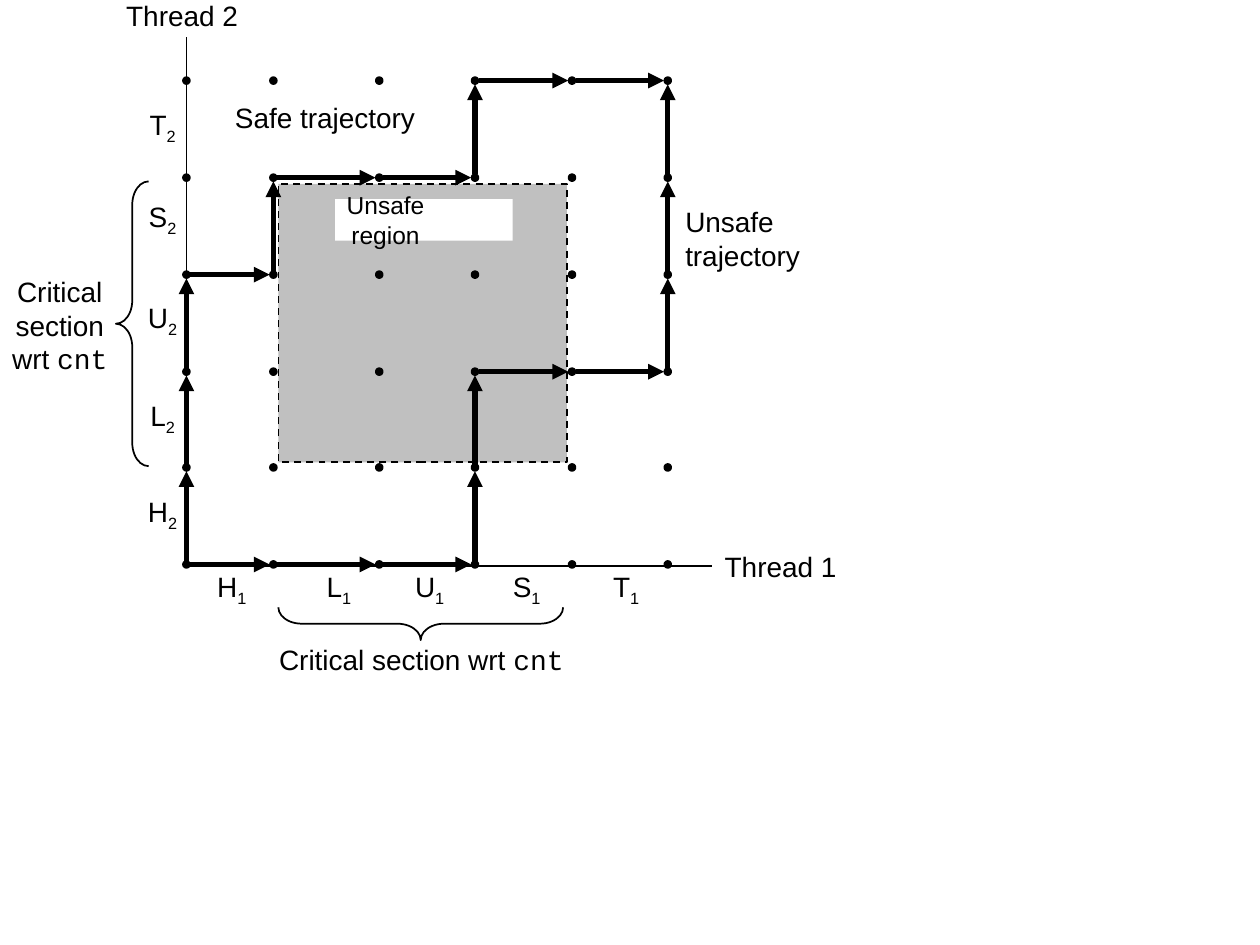
from itertools import pairwise, product
from lxml.etree import SubElement
from pptx import Presentation
from pptx.dml.color import RGBColor
from pptx.enum.dml import MSO_LINE
from pptx.enum.shapes import MSO_CONNECTOR, MSO_SHAPE
from pptx.enum.text import MSO_ANCHOR, PP_ALIGN
from pptx.oxml.ns import qn
from pptx.util import Inches, Pt

BLACK = RGBColor(0, 0, 0)
WHITE = RGBColor(255, 255, 255)
GRAY = RGBColor(192, 192, 192)
SANS = "Arial"
MONO = "Courier New"
COLS = [1.48, 2.17, 3.01, 3.77, 4.54, 5.3]
ROWS = [0.64, 1.41, 2.18, 2.95, 3.71, 4.48]
SAFE = "UUURURRURR"
UNSAFE = "RRRUURRUUU"
STEPS = list("HLUST")
STEP_X = [1.84, 2.69, 3.41, 4.18, 4.97]
STEP_Y = [4.08, 3.32, 2.54, 1.74, 1.01]
GAP = 0.03


def add_box(slide, kind, left, top, width, height, fill=None, line=None):
    box = slide.shapes.add_shape(
        kind, Inches(left), Inches(top), Inches(width), Inches(height)
    )
    box.shadow.inherit = False
    if fill is None:
        box.fill.background()
    else:
        box.fill.solid()
        box.fill.fore_color.rgb = fill
    if line is None:
        box.line.fill.background()
    else:
        box.line.color.rgb = BLACK
        box.line.width = Pt(line)
    return box


def add_line(slide, start, end, width, head=False):
    x1, y1, x2, y2 = map(Inches, (*start, *end))
    line = slide.shapes.add_connector(MSO_CONNECTOR.STRAIGHT, x1, y1, x2, y2)
    line.line.color.rgb = BLACK
    line.line.width = Pt(width)
    if head:
        SubElement(line.line._get_or_add_ln(), qn("a:tailEnd"), type="triangle")
    SubElement(line._element.spPr, qn("a:effectLst"))


def add_run(para, text, font=SANS, size=16, sub=False):
    run = para.add_run()
    run.text = text
    run.font.name = font
    run.font.size = Pt(size)
    run.font.color.rgb = BLACK
    if sub:
        run._r.get_or_add_rPr().set("baseline", "-25000")


def add_label(slide, left, top, width, height=0.37, align=PP_ALIGN.CENTER, wrap=False):
    box = slide.shapes.add_textbox(
        Inches(left), Inches(top), Inches(width), Inches(height)
    )
    frame = box.text_frame
    frame.word_wrap = wrap
    frame.vertical_anchor = MSO_ANCHOR.MIDDLE
    para = frame.paragraphs[0]
    para.alignment = align
    return para


def add_step(slide, x, y, name, thread):
    para = add_label(slide, x - 0.22, y - 0.19, 0.44)
    add_run(para, name)
    add_run(para, thread, sub=True)


def add_region(slide):
    tag = add_box(slide, MSO_SHAPE.RECTANGLE, 2.66, 1.58, 1.41, 0.33, WHITE)
    frame = tag.text_frame
    frame.word_wrap = True
    frame.vertical_anchor = MSO_ANCHOR.MIDDLE
    frame.margin_left = Inches(0.05)
    frame.margin_right = Inches(0.66)
    para = frame.paragraphs[0]
    para.alignment = PP_ALIGN.CENTER
    add_run(para, "Unsafe region", size=14)


def add_path(slide, moves):
    spots = [(0, 5)]
    for move in moves:
        col, row = spots[-1]
        spots.append((col + 1, row) if move == "R" else (col, row - 1))
    for (c1, r1), (c2, r2) in pairwise(spots):
        dx, dy = GAP * (c2 - c1), GAP * (r2 - r1)
        start = COLS[c1] + dx, ROWS[r1] + dy
        end = COLS[c2] - dx, ROWS[r2] - dy
        add_line(slide, start, end, 3, head=True)


def add_brace(slide, left, top, turn=0):
    brace = add_box(slide, MSO_SHAPE.LEFT_BRACE, left, top, 0.26, 2.26, line=1)
    brace.adjustments[0] = 0.715
    brace.rotation = turn


def main():
    deck = Presentation()
    deck.slide_width = Inches(10)
    deck.slide_height = Inches(7.5)
    slide = deck.slides.add_slide(deck.slide_layouts[6])

    zone = add_box(slide, MSO_SHAPE.RECTANGLE, 2.21, 1.46, 2.29, 2.21, GRAY, 1)
    zone.line.dash_style = MSO_LINE.DASH
    add_line(slide, (1.48, 4.49), (5.65, 4.49), 1)
    add_line(slide, (1.48, 4.49), (1.48, 0.29), 1)

    for name, x, y in zip(STEPS, STEP_X, STEP_Y):
        add_step(slide, x, 4.68, name, "1")
        add_step(slide, 1.29, y, name, "2")
    for x, y in product(COLS, ROWS):
        add_box(slide, MSO_SHAPE.OVAL, x - 0.02, y - 0.02, 0.04, 0.04, BLACK, 2)

    add_region(slide)
    add_path(slide, SAFE)
    add_path(slide, UNSAFE)

    add_run(add_label(slide, 5.65, 4.31, 1.09), "Thread 1")
    add_run(add_label(slide, 0.9, -0.06, 1.09), "Thread 2")
    add_run(add_label(slide, 1.76, 0.75, 1.64), "Safe trajectory")
    para = add_label(slide, 5.34, 1.57, 1.12, 0.64, PP_ALIGN.LEFT)
    add_run(para, "Unsafe")
    add_run(para._parent.add_paragraph(), "trajectory")

    add_brace(slide, 0.92, 1.44)
    add_brace(slide, 3.21, 3.82, 270)
    for para in (
        add_label(slide, 2.11, 5.05, 2.47),
        add_label(slide, -0.04, 2.13, 1.03, 0.9, wrap=True),
    ):
        add_run(para, "Critical section wrt ")
        add_run(para, "cnt", MONO)

    deck.save("out.pptx")


if __name__ == "__main__":
    main()
